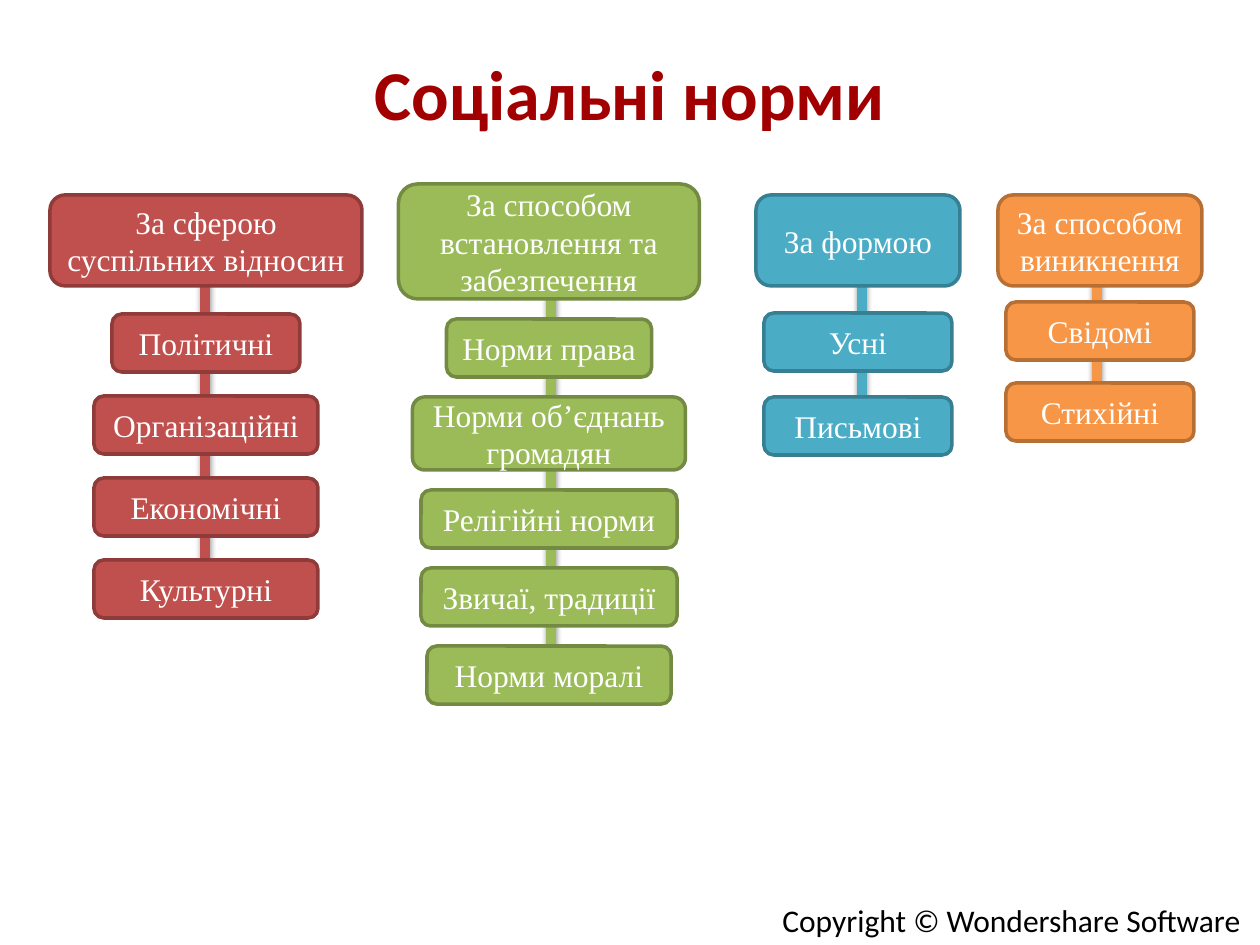
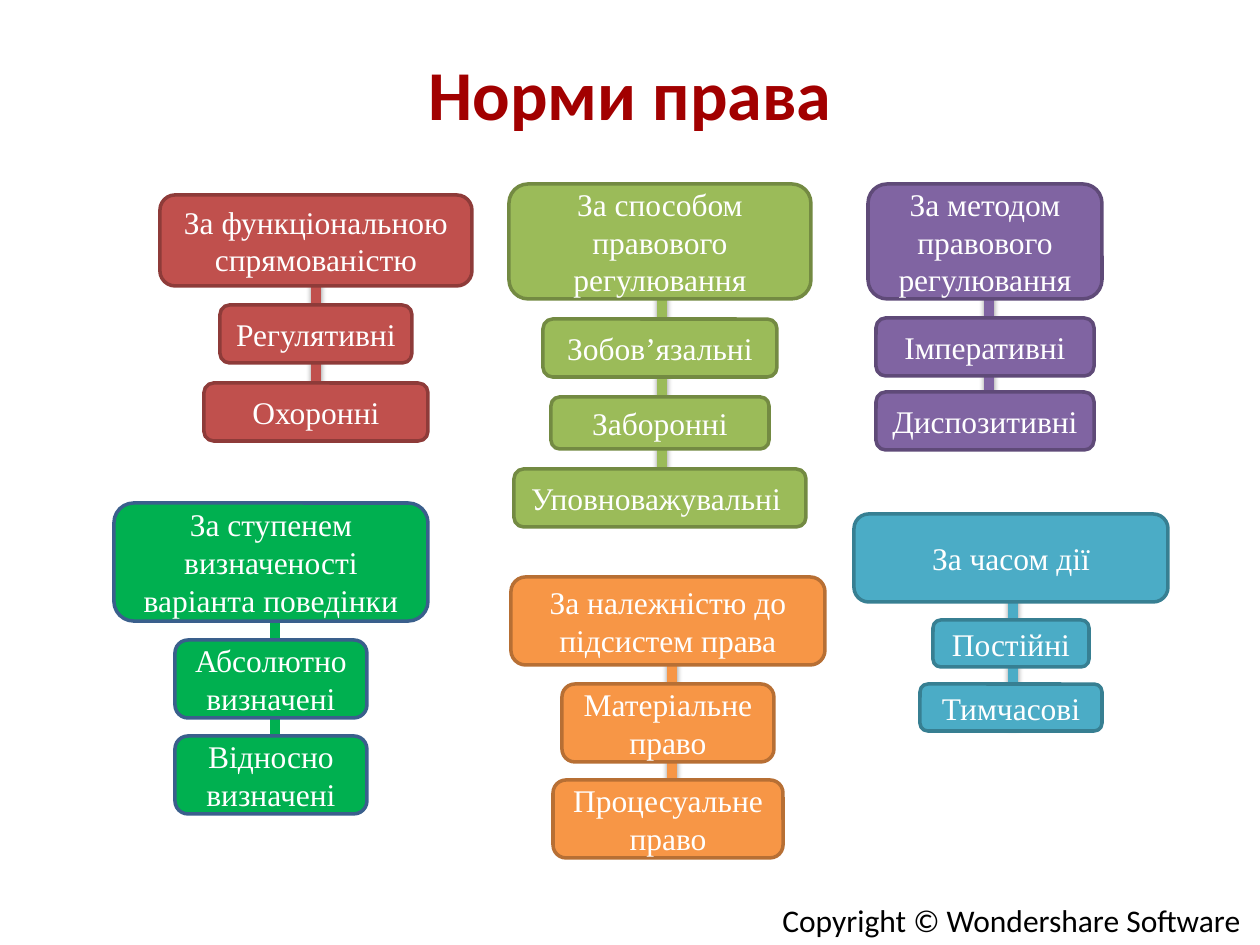
from lxml import etree
from pptx import Presentation
from pptx.dml.color import RGBColor
from pptx.enum.shapes import MSO_CONNECTOR as LINK, MSO_SHAPE as FORM
from pptx.enum.text import MSO_ANCHOR as ANCHOR, PP_ALIGN as ALIGN
from pptx.oxml import parse_xml
from pptx.oxml.ns import nsdecls, qn
from pptx.util import Emu, Pt

EMU_PER_PX = 914400 / 126
RED = ("C0504D", "8E3B39")
OLIVE = ("9BBB59", "738A42")
TEAL = ("4BACC6", "377F92")
ORANGE = ("F79646", "B76F34")
PURPLE = ("8064A2", "5F4A78")
EMERALD = ("00B050", "3A5F8C")
STEM_SHADOW = (
    f'<a:outerShdw {nsdecls("a")} blurRad="39370" dist="20320" dir="5400000" rotWithShape="0">'
    '<a:srgbClr val="000000"><a:alpha val="38000"/></a:srgbClr></a:outerShdw>'
)

social_norms = [
    (RED, 206, (205, 212, 607), [
        ("За сферою суспільних відносин", 195, 312, 91),
        ("Політичні", 314, 188, 58),
        ("Організаційні", 396, 224, 58),
        ("Економічні", 478, 224, 58),
        ("Культурні", 560, 224, 58),
    ]),
    (OLIVE, 549, (551, 215, 662), [
        ("За способом встановлення та забезпечення", 184, 301, 115),
        ("Норми права", 319, 205, 58),
        ("Норми об’єднань громадян", 397, 273, 73),
        ("Релігійні норми", 490, 256, 58),
        ("Звичаї, традиції", 568, 256, 58),
        ("Норми моралі", 646, 244, 58),
    ]),
    (TEAL, 858, (862, 215, 413), [
        ("За формою", 195, 204, 91),
        ("Усні", 313, 188, 58),
        ("Письмові", 397, 188, 58),
    ]),
    (ORANGE, 1100, (1097, 203, 401), [
        ("За способом виникнення", 195, 204, 91),
        ("Свідомі", 302, 188, 58),
        ("Стихійні", 383, 188, 58),
    ]),
]

legal_norms = [
    (RED, 316, (316, 212, 410), [
        ("За функціональною спрямованістю", 195, 312, 91),
        ("Регулятивні", 305, 192, 58),
        ("Охоронні", 383, 224, 58),
    ]),
    (OLIVE, 660, (662, 215, 513), [
        ("За способом правового регулювання", 184, 302, 115),
        ("Зобов’язальні", 319, 234, 58),
        ("Заборонні", 397, 218, 52),
        ("Уповноважувальні ", 469, 292, 58),
    ]),
    (PURPLE, 985, (989, 215, 413), [
        ("За методом правового регулювання", 184, 234, 115),
        ("Імперативні", 318, 218, 58),
        ("Диспозитивні", 392, 218, 58),
    ]),
    (EMERALD, 271, (275, 547, 745), [
        ("За ступенем визначеності варіанта поведінки", 503, 314, 118),
        ("Абсолютно визначені", 640, 192, 78),
        ("Відносно визначені", 736, 192, 78),
    ]),
    (ORANGE, 668, (672, 591, 789), [
        ("За належністю до підсистем права", 577, 314, 88),
        ("Матеріальне право", 684, 212, 78),
        ("Процесуальне право", 780, 230, 78),
    ]),
    (TEAL, 1011, (1013, 527, 726), [
        ("За часом дії", 514, 314, 88),
        ("Постійні", 620, 156, 47),
        ("Тимчасові", 684, 182, 47),
    ]),
]


def px(*lengths):
    return [Emu(round(length * EMU_PER_PX)) for length in lengths]


def write(holder, text, font="Times New Roman", size=18, color="FFFFFF",
          bold=False, align=ALIGN.CENTER, anchor=ANCHOR.MIDDLE, wrap=True):
    frame = holder.text_frame
    frame.word_wrap = wrap
    frame.vertical_anchor = anchor
    line = frame.paragraphs[0]
    line.alignment = align
    run = line.add_run()
    run.text = text
    run.font.name = font
    run.font.size = Pt(size)
    run.font.bold = bold
    run.font.color.rgb = RGBColor.from_string(color)


deck = Presentation()
deck.slide_width, deck.slide_height = px(1260, 945)

for heading, groups in [("Соціальні норми", social_norms), ("Норми права", legal_norms)]:
    slide = deck.slides.add_slide(deck.slide_layouts[6])
    shapes = slide.shapes
    write(shapes.add_textbox(*px(770, 895, 490, 50)), "Copyright © Wondershare Software",
          font="Calibri", color="000000", align=ALIGN.LEFT, anchor=ANCHOR.TOP, wrap=False)
    write(shapes.add_textbox(*px(63, 38, 1134, 110)), heading,
          font="Calibri", size=40, color="A20000", bold=True)

    for (fill, edge), center, (axis, start, end), norms in groups:
        stem = shapes.add_connector(LINK.STRAIGHT, *px(axis, start, axis, end))
        stem.line.color.rgb = RGBColor.from_string(fill)
        stem.line.width = Pt(6)
        effects = etree.SubElement(stem._element.spPr, qn("a:effectLst"))
        if fill != EMERALD[0]:
            effects.append(parse_xml(STEM_SHADOW))

        for label, top, width, height in norms:
            box = shapes.add_shape(FORM.ROUNDED_RECTANGLE,
                                   *px(center - width / 2, top, width, height))
            box.shadow.inherit = False
            box.fill.solid()
            box.fill.fore_color.rgb = RGBColor.from_string(fill)
            box.line.color.rgb = RGBColor.from_string(edge)
            box.line.width = Pt(2)
            write(box, label)

deck.save("out.pptx")
